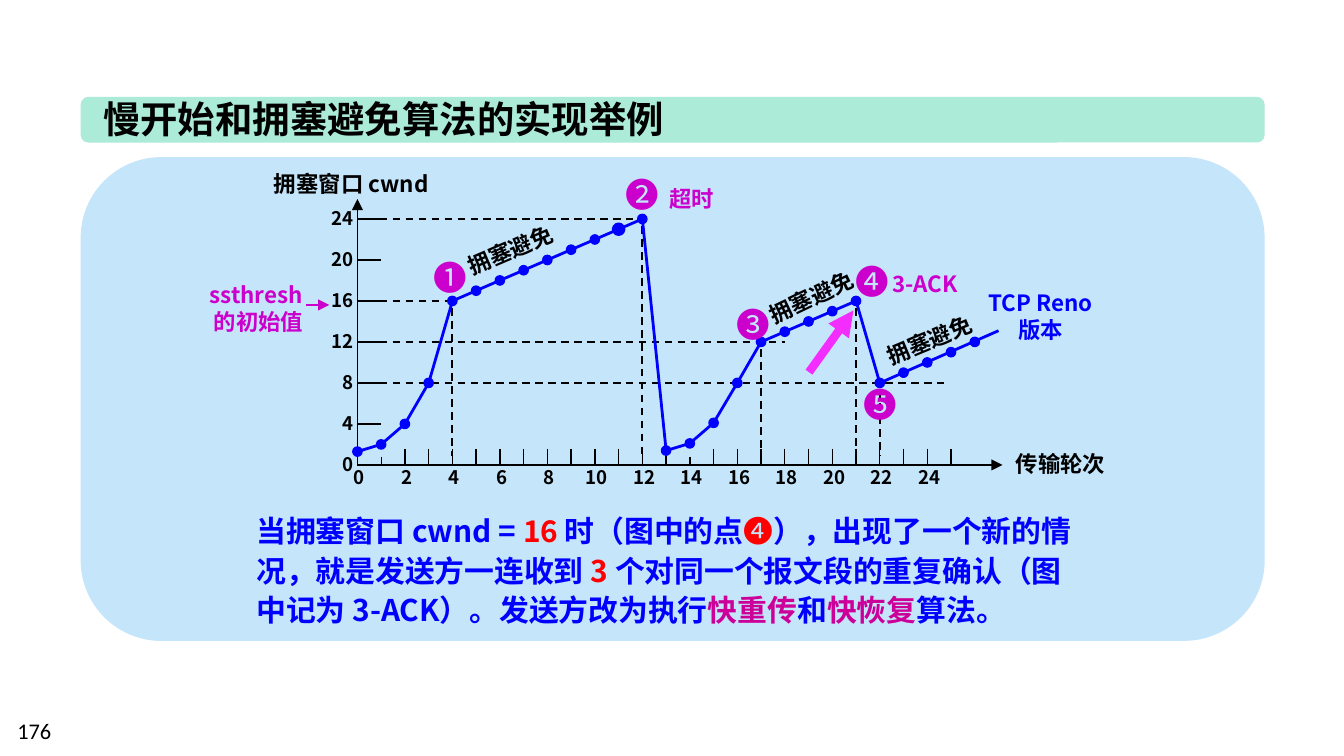
from lxml import etree
from pptx import Presentation
from pptx import util as u
from pptx.dml.color import RGBColor
from pptx.enum import dml, shapes, text
from pptx.oxml.ns import qn

Pt = u.Pt
BLACK = RGBColor(0, 0, 0)
BLUE = RGBColor(0, 0, 255)
RED = RGBColor(255, 0, 0)
PURPLE = RGBColor(0xCC, 0, 0xCC)
MAGENTA = RGBColor(0xCC, 0, 0x99)
PINK = RGBColor(255, 0, 255)
MINT = RGBColor(0xAB, 0xEB, 0xD7)
SKY = RGBColor(0xC5, 0xE5, 0xFB)
CJK = "Noto Sans CJK SC"
LEFT, CENTER, RIGHT = text.PP_ALIGN.LEFT, text.PP_ALIGN.CENTER, text.PP_ALIGN.RIGHT

# Window size after each transmission round, from round 0
CWND = [1.3, 2, 4, 8, 16, 17, 18, 19, 20, 21, 22, 23, 24,
        1.4, 2.1, 4.1, 8, 12, 13, 14, 15, 16, 8, 9, 10, 11, 12]
LAST = 27, 13.1                       # the final line runs on past the last dot
BOLD_DOT = 11
SHORT_TICKS = 1, 14
LEVEL_GUIDES = [(24, 12), (16, 4), (12, 18), (8, 24.7)]    # level, last round
ROUND_GUIDES = [4, 12, 17, 21, 22]
PHASES = [(273.6, 134.6, -23.2), (434.9, 159.8, -25.5), (498.2, 182.9, -22.6)]
MARKERS = [("❶", 240.8, 148.3), ("❷", 343.4, 104), ("❸", 402.8, 173.5),
           ("❹", 466.9, 150.5), ("❺", 471.2, 216.7)]
LABELS = [
    (["超时"], (351.4, 95.8, 62.6, 21.6), PURPLE, LEFT),
    (["3-ACK"], (470.9, 141.1, 64.1, 21.6), PURPLE, LEFT),
    (["传输轮次"], (537.1, 237.6, 67.7, 23), BLACK, LEFT),
    (["拥塞窗口 cwnd"], (139.7, 87.8, 110.2, 23), BLACK, LEFT),
    (["TCP Reno", "版本"], (516.2, 151.2, 82.8, 38.9), BLUE, CENTER),
    (["ssthresh", " 的初始值"], (103.7, 146.9, 67, 36), PURPLE, CENTER),
]
TITLE = "慢开始和拥塞避免算法的实现举例"
SUMMARY = [
    ("当拥塞窗口 cwnd = ", BLUE, True), ("16 ", RED, True),
    ("时（图中的点", BLUE, True), ("❹", RED, False),
    ("），出现了一个新的情况，就是发送方一连收到 ", BLUE, True), ("3 ", RED, True),
    ("个对同一个报文段的重复确认（图中记为 3-ACK）。发送方改为执行", BLUE, True),
    ("快重传", MAGENTA, True), ("和", BLUE, True), ("快恢复", MAGENTA, True),
    ("算法。", BLUE, True),
]

X0, Y0, STEP, UNIT = 191.5, 249.1, 12.72, 5.49    # origin, round width, cwnd height

prs = Presentation()
prs.slide_width, prs.slide_height = Pt(720), Pt(405)
s = prs.slides.add_slide(prs.slide_layouts[6])


def at(rnd, cwnd):
    """Slide position of a point on the graph."""
    return X0 + rnd * STEP, Y0 - cwnd * UNIT


def add_text(paras, box, color=BLACK, size=12, bold=True, font=CJK, align=LEFT,
             wrap=False, rotation=0, spacing=None, anchor=text.MSO_ANCHOR.TOP):
    """Each paragraph is a string or a list of (text, colour, bold) runs."""
    sp = s.shapes.add_textbox(*map(Pt, box))
    sp.rotation = rotation
    tf = sp.text_frame
    tf.word_wrap = wrap
    tf.vertical_anchor = anchor
    for i, para in enumerate(paras):
        p = tf.add_paragraph() if i else tf.paragraphs[0]
        p.alignment = align
        if spacing:
            p.line_spacing = spacing
        runs = [(para, color, bold)] if isinstance(para, str) else para
        for words, run_color, run_bold in runs:
            r = p.add_run()
            r.text = words
            f = r.font
            f.size, f.bold, f.name = Pt(size), run_bold, font
            f.color.rgb = run_color
            etree.SubElement(f._element, qn("a:ea"), typeface=font)
    return sp


def add_line(start, end, color=BLACK, width=0.75, dash=False, arrow=False, alpha=None):
    c = s.shapes.add_connector(shapes.MSO_CONNECTOR.STRAIGHT, *map(Pt, (*start, *end)))
    c.line.color.rgb = color
    c.line.width = Pt(width)
    if dash:
        c.line.dash_style = dml.MSO_LINE.DASH
    ln = c.line._get_or_add_ln()
    if alpha:
        etree.SubElement(ln.find(".//" + qn("a:srgbClr")), qn("a:alpha"),
                         val=str(alpha * 1000))
    if arrow:
        etree.SubElement(ln, qn("a:tailEnd"), type="triangle")
    etree.SubElement(c._element.spPr, qn("a:effectLst"))


def add_shape(kind, box, fill, line_width=None):
    sp = s.shapes.add_shape(kind, *map(Pt, box))
    sp.shadow.inherit = False
    sp.fill.solid()
    sp.fill.fore_color.rgb = fill
    if line_width:
        sp.line.color.rgb = fill
        sp.line.width = Pt(line_width)
    else:
        sp.line.fill.background()


def add_curve(first, last):
    points = [tuple(map(Pt, at(n, CWND[n]))) for n in range(first, last + 1)]
    fb = s.shapes.build_freeform(*points[0])
    fb.add_line_segments(points[1:], close=False)
    sp = fb.convert_to_shape()
    sp.shadow.inherit = False
    sp.fill.background()
    sp.line.color.rgb = BLUE
    sp.line.width = Pt(1.5)


# Title and panel
add_shape(shapes.MSO_SHAPE.ROUNDED_RECTANGLE, (43.2, 51.9, 634.3, 24.5), MINT)
add_text([TITLE], (48.2, 48.2, 317.5, 31.7), size=20)
add_shape(shapes.MSO_SHAPE.ROUNDED_RECTANGLE, (43.2, 84.2, 634.3, 259.2), SKY)

# Axes, ticks and numbers
add_line((X0, Y0), (537.1, Y0), width=1, arrow=True)
add_line((X0, Y0), (X0, 106.6), width=1, arrow=True)
for n in range(1, 26):
    x, y = at(n, 0)
    add_line((x, y - (4.3 if n in SHORT_TICKS else 8.6)), (x, y))
for n in range(0, 25, 2):
    x, y = at(n, 0)
    add_text([str(n)], (x - 12.5, y - 2.9, 27, 19.4), size=10, align=CENTER)
for level in range(0, 25, 4):
    x, y = at(0, level)
    if level:
        add_line((x, y), (x + STEP, y))
    add_text([str(level)], (x - 22.3, y - 10, 27, 19.4), size=10, align=RIGHT)

# Guides
for level, last in LEVEL_GUIDES:
    x, y = at(0, level)
    add_line((x + 5, y), at(last, level), width=1, dash=True)
for n in ROUND_GUIDES:
    x, y = at(n, CWND[n])
    add_line((x, y + 4), (x, Y0 - 5), width=1, dash=True)

# Window curve
add_curve(0, 12)
add_curve(13, 21)
for n in (12, 21):
    add_line(at(n, CWND[n]), at(n + 1, CWND[n + 1]), BLUE, 1.5)
add_line(at(22, CWND[22]), at(*LAST), BLUE, 1.5)
for n, cwnd in enumerate(CWND):
    x, y = at(n, cwnd)
    add_shape(shapes.MSO_SHAPE.OVAL, (x - 2.5, y - 2.5, 5, 5), BLUE,
              2.25 if n == BOLD_DOT else 0.75)

# Labels and markers
for paras, box, color, align in LABELS:
    add_text(paras, box, color, align=align)
for x, y, angle in PHASES:
    add_text(["拥塞避免"], (x - 33.8, y - 11.5, 67.7, 23), align=CENTER, rotation=angle)
for mark, x, y in MARKERS:
    add_text([mark], (x - 15.5, y - 14.4, 31, 28.8), PURPLE, 18, bold=False,
             align=CENTER, anchor=text.MSO_ANCHOR.MIDDLE)
add_line((164.2, 163.4), (176.4, 163.4), PURPLE, 1.5, arrow=True)

add_text([SUMMARY], (130.3, 269.3, 456.5, 71.3), size=16, wrap=True, spacing=1.1)
add_line((433.4, 199.4), (457.2, 166.3), PINK, 4.5, arrow=True, alpha=80)
add_text(["176"], (2.2, 380.9, 167.8, 21.6), bold=False, font="Calibri", wrap=True)

prs.save("out.pptx")
